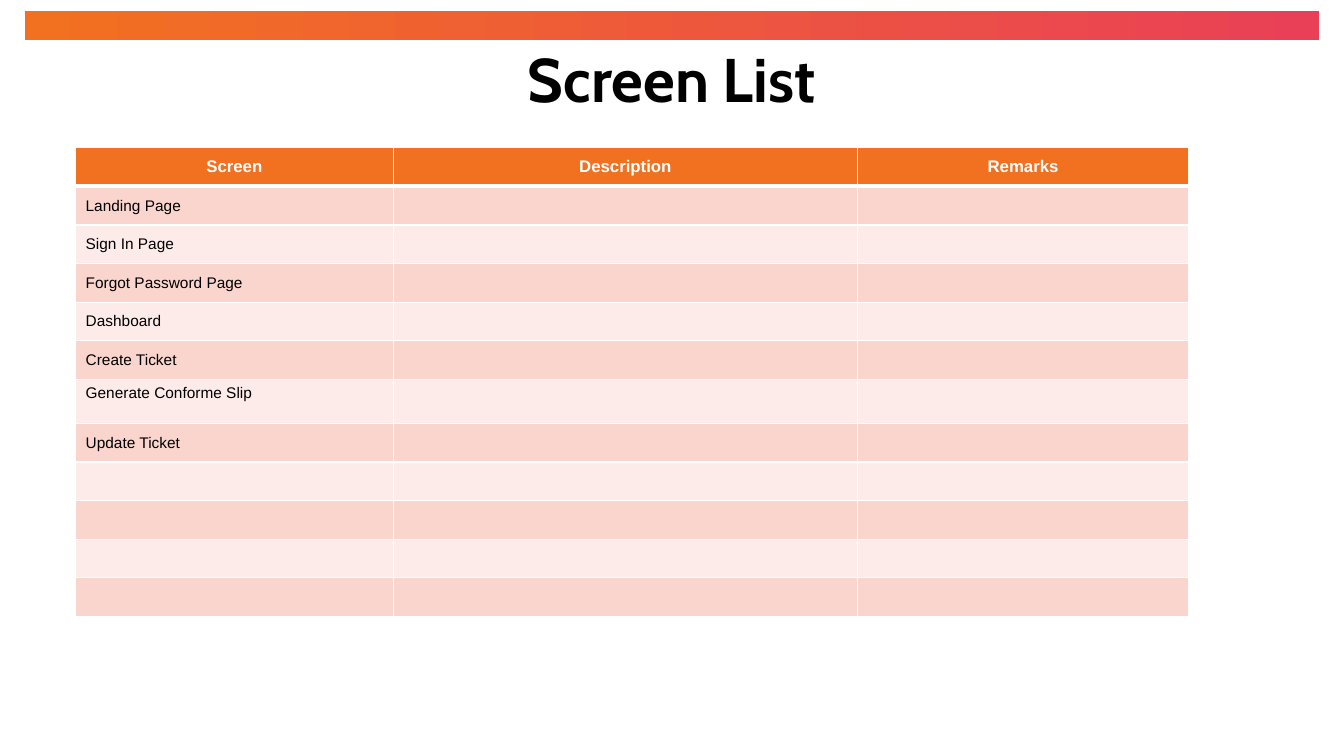
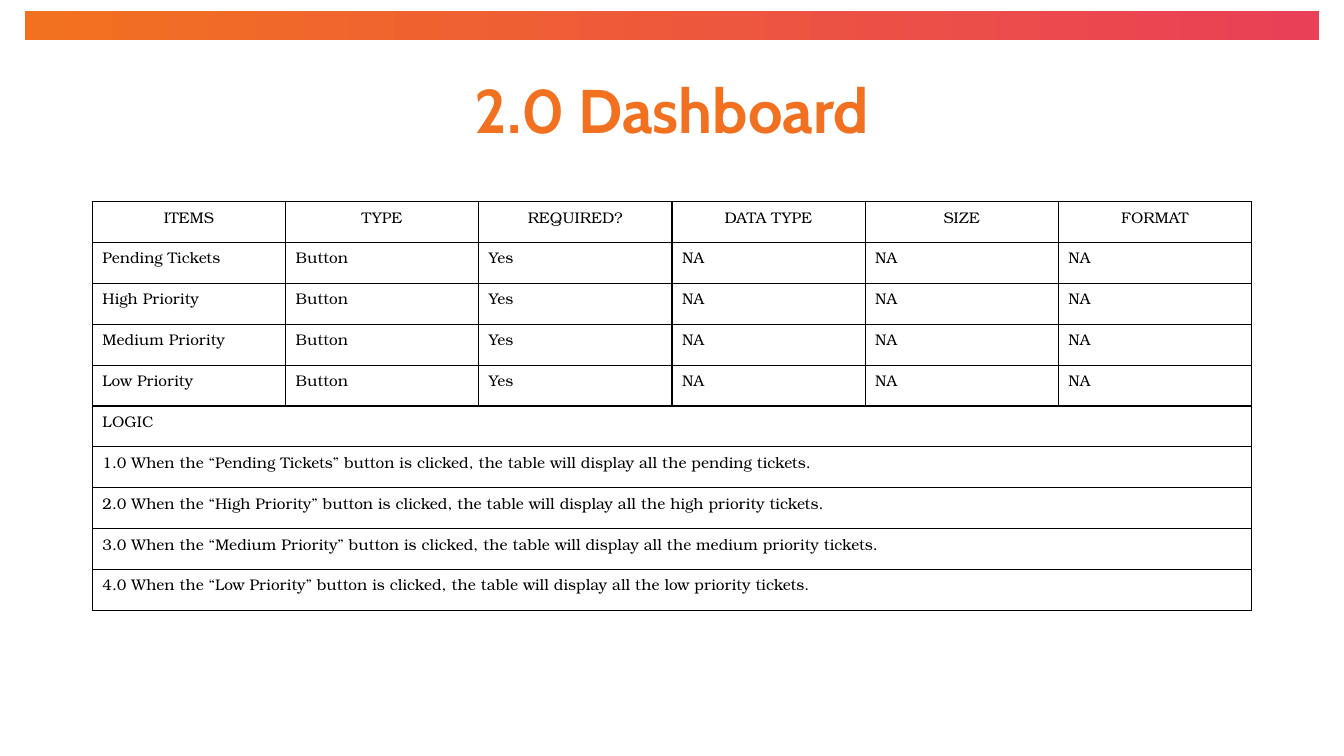
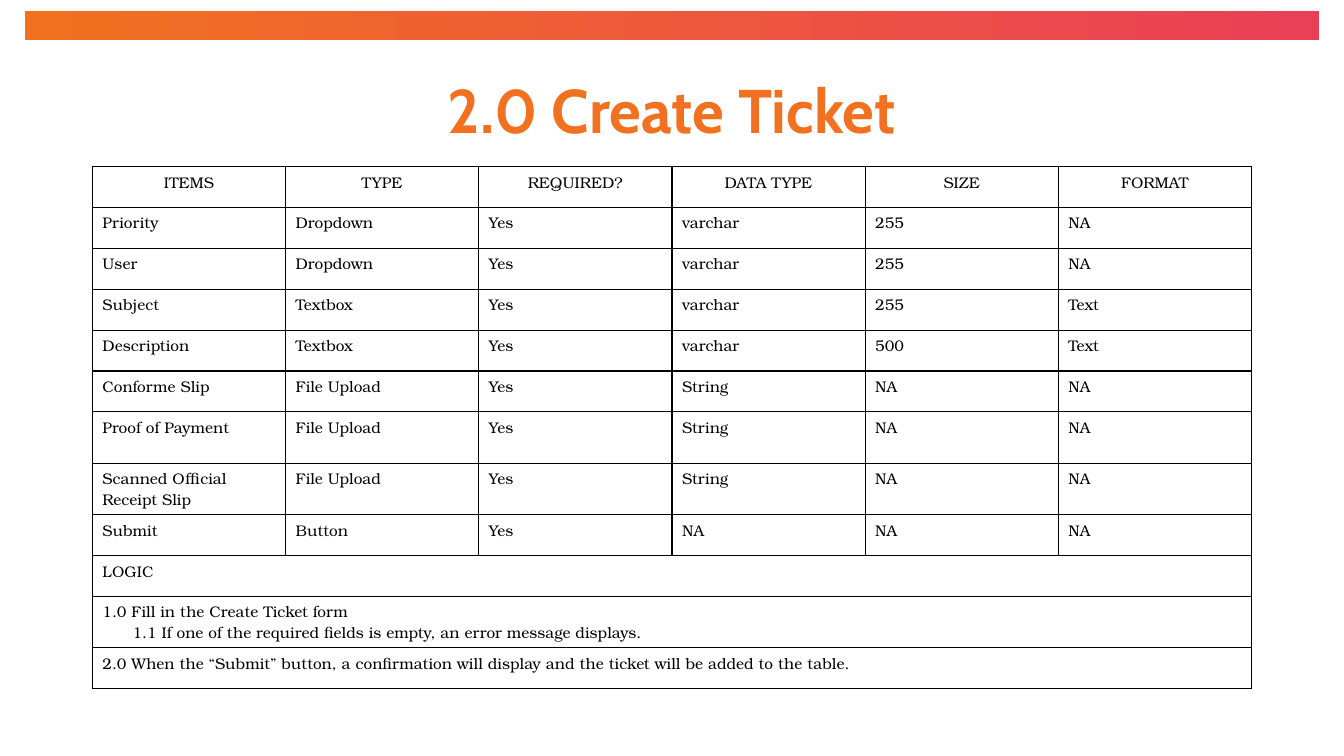
import pptx
import pptx.enum.dml
import pptx.enum.shapes
import pptx.enum.text
import pptx.oxml
import pptx.oxml.ns
import pptx.util
from pptx.dml.color import RGBColor

Pt = pptx.util.Pt
CENTER = pptx.enum.text.PP_ALIGN.CENTER
LEFT = pptx.enum.text.PP_ALIGN.LEFT
MIDDLE = pptx.enum.text.MSO_ANCHOR.MIDDLE
TOP = pptx.enum.text.MSO_ANCHOR.TOP

COLORS = {
    "orange": "F27120",
    "red": "E94057",
    "black": "000000",
    "white": "FFFFFF",
    "row_dark": "FAD5CD",
    "row_light": "FCEBE8",
}

# Text formats
TITLE = {"name": "Cabin", "size": Pt(44), "bold": True}
LIST_HEAD = {"name": "Arial", "size": Pt(12), "bold": True}
LIST_BODY = {"name": "Arial", "size": Pt(11), "bold": False}
SPEC = {"name": "TeX Gyre Bonum", "size": Pt(11), "bold": False}

# Boxes: left, top, width, height
BAND_BOX = (18, 8, 924.5, 20.8)
LIST_TITLE_BOX = (66, 28.8, 828, 59.8)
SPEC_TITLE_BOX = (66, 28.8, 828, 104.4)

# Content
SCREEN_HEADS = ["Screen", "Description", "Remarks"]
SCREENS = ["Landing Page", "Sign In Page", "Forgot Password Page", "Dashboard",
           "Create Ticket", "Generate Conforme Slip", "Update Ticket",
           "", "", "", ""]
SCREEN_WIDTHS = [226.8, 331.9, 236.2]

FIELDS = ["ITEMS", "TYPE", "REQUIRED?", "DATA TYPE", "SIZE", "FORMAT"]
PRIORITIES = ["Pending Tickets", "High Priority", "Medium Priority", "Low Priority"]
DASHBOARD_ITEMS = [[item, "Button", "Yes", "NA", "NA", "NA"] for item in PRIORITIES]
DASHBOARD_LOGIC = [
    f"{number}.0 When the “{item}” button is clicked, the table will display "
    f"all the {item.lower().replace(' tickets', '')} tickets."
    for number, item in enumerate(PRIORITIES, 1)]

TICKET_ITEMS = [
    ["Priority", "Dropdown", "Yes", "varchar", "255", "NA"],
    ["User", "Dropdown", "Yes", "varchar", "255", "NA"],
    ["Subject", "Textbox", "Yes", "varchar", "255", "Text"],
    ["Description", "Textbox", "Yes", "varchar", "500", "Text"],
    ["Conforme Slip", "File Upload", "Yes", "String", "NA", "NA"],
    ["Proof of Payment", "File Upload", "Yes", "String", "NA", "NA"],
    ["Scanned Official Receipt Slip", "File Upload", "Yes", "String", "NA", "NA"],
    ["Submit", "Button", "Yes", "NA", "NA", "NA"],
]
TICKET_LOGIC = [
    "1.0 Fill in the Create Ticket form\n"
    "1.1 If one of the required fields is empty, an error message displays.",
    "2.0 When the “Submit” button, a confirmation will display and the ticket "
    "will be added to the table.",
]
TICKET_TALL_ROWS = (6, 7, 10)


def rgb(color):
    return RGBColor.from_string(COLORS[color])


def set_format(font, values):
    for attribute, value in values.items():
        setattr(font, attribute, value)


def fill_gradient(fill):
    fill.gradient()
    fill.gradient_angle = 0
    for stop, color in zip(fill.gradient_stops, ("orange", "red")):
        stop.color.rgb = rgb(color)


# Gradient band, kept on the layout so that every slide shows it
def add_band(layout, slide, box):
    band = slide.shapes.add_shape(pptx.enum.shapes.MSO_SHAPE.RECTANGLE, *map(Pt, box))
    band.shadow.inherit = False
    band.line.fill.background()
    fill_gradient(band.fill)
    element = band._element
    element.nvSpPr.cNvPr.set("id", "99")
    layout.shapes._spTree.insert(2, element)


def set_title(slide, text, box, gradient=True):
    title = slide.shapes.title
    title.left, title.top, title.width, title.height = map(Pt, box)
    frame = title.text_frame
    frame.text = text
    frame.auto_size = pptx.enum.text.MSO_AUTO_SIZE.NONE
    frame.vertical_anchor = MIDDLE
    paragraph = frame.paragraphs[0]
    paragraph.alignment = CENTER
    paragraph.line_spacing = 0.9
    font = paragraph.runs[0].font
    set_format(font, TITLE)
    if gradient:
        fill_gradient(font.fill)
    else:
        font.color.rgb = rgb("black")


# Table parts
def add_table(slide, left, top, widths, heights):
    table = slide.shapes.add_table(len(heights), len(widths), Pt(left), Pt(top),
                                   Pt(sum(widths)), Pt(sum(heights))).table
    table.first_row = table.horz_banding = False
    for column, width in zip(table.columns, widths):
        column.width = Pt(width)
    for row, height in zip(table.rows, heights):
        row.height = Pt(height)
    return table


def set_borders(cell, color, top=1, bottom=1):
    properties = cell._tc.get_or_add_tcPr()
    sides = {"lnL": 1, "lnR": 1, "lnT": top, "lnB": bottom}
    for index, (side, width) in enumerate(sides.items()):
        properties.insert(index, pptx.oxml.parse_xml(
            f'<a:{side} {pptx.oxml.ns.nsdecls("a")} w="{Pt(width)}"><a:solidFill>'
            f'<a:srgbClr val="{COLORS[color]}"/></a:solidFill></a:{side}>'))


def set_cell(cell, text, values, color="black", align=LEFT, anchor=TOP):
    cell.text = text
    cell.vertical_anchor = anchor
    for paragraph in cell.text_frame.paragraphs:
        paragraph.alignment = align
        for run in paragraph.runs:
            set_format(run.font, values)
            run.font.color.rgb = rgb(color)
        if not paragraph.runs:
            # An empty cell must not be taller than its row
            size = round(values["size"].pt * 100)
            paragraph._p.get_or_add_endParaRPr().set("sz", str(size))


# Slide with the list of screens
def build_screen_list(slide, left, top):
    set_title(slide, "Screen List", LIST_TITLE_BOX, gradient=False)
    rows = [SCREEN_HEADS] + [[screen, "", ""] for screen in SCREENS]
    tall_row = rows.index(["Generate Conforme Slip", "", ""])
    heights = [31.4 if r == tall_row else 27.6 for r in range(len(rows))]
    table = add_table(slide, left, top, SCREEN_WIDTHS, heights)
    for r, row in enumerate(rows):
        for c, text in enumerate(row):
            cell = table.cell(r, c)
            if r == 0:
                set_cell(cell, text, LIST_HEAD, "white", CENTER, MIDDLE)
                background = "orange"
            else:
                anchor = TOP if r == tall_row else MIDDLE
                set_cell(cell, text, LIST_BODY, anchor=anchor)
                background = "row_dark" if r % 2 else "row_light"
            cell.fill.solid()
            cell.fill.fore_color.rgb = rgb(background)
            set_borders(cell, "white", top=3 if r == 1 else 1, bottom=3 if r == 0 else 1)


# Slide with the fields and the logic of one screen
def build_screen_spec(slide, title, items, logic, left, top, tall_rows=()):
    set_title(slide, title, SPEC_TITLE_BOX)
    blanks = [""] * (len(FIELDS) - 1)
    rows = [FIELDS] + items + [[line] + blanks for line in ["LOGIC"] + logic]
    heights = [36.7 if r in tall_rows else 29.2 for r in range(len(rows))]
    table = add_table(slide, left, top, [138] * len(FIELDS), heights)
    for r, row in enumerate(rows):
        for c, text in enumerate(row):
            cell = table.cell(r, c)
            set_cell(cell, text, SPEC, align=LEFT if r else CENTER)
            cell.fill.background()
            set_borders(cell, "black")
        if r > len(items):
            logic_cell = table.cell(r, 0)
            logic_cell.merge(table.cell(r, len(FIELDS) - 1))
            for substep in logic_cell.text_frame.paragraphs[1:]:
                substep._p.get_or_add_pPr().set("marL", str(Pt(21.5)))


def main():
    deck = pptx.Presentation()
    deck.slide_width, deck.slide_height = Pt(960), Pt(540)
    layout = deck.slide_layouts[5]
    screen_list, dashboard, ticket = [deck.slides.add_slide(layout) for _ in range(3)]
    add_band(layout, screen_list, BAND_BOX)
    build_screen_list(screen_list, 54, 105.5)
    build_screen_spec(dashboard, "2.0 Dashboard", DASHBOARD_ITEMS, DASHBOARD_LOGIC,
                      66, 144)
    build_screen_spec(ticket, "2.0 Create Ticket", TICKET_ITEMS, TICKET_LOGIC,
                      66, 119, TICKET_TALL_ROWS)
    deck.save("out.pptx")


if __name__ == "__main__":
    main()
